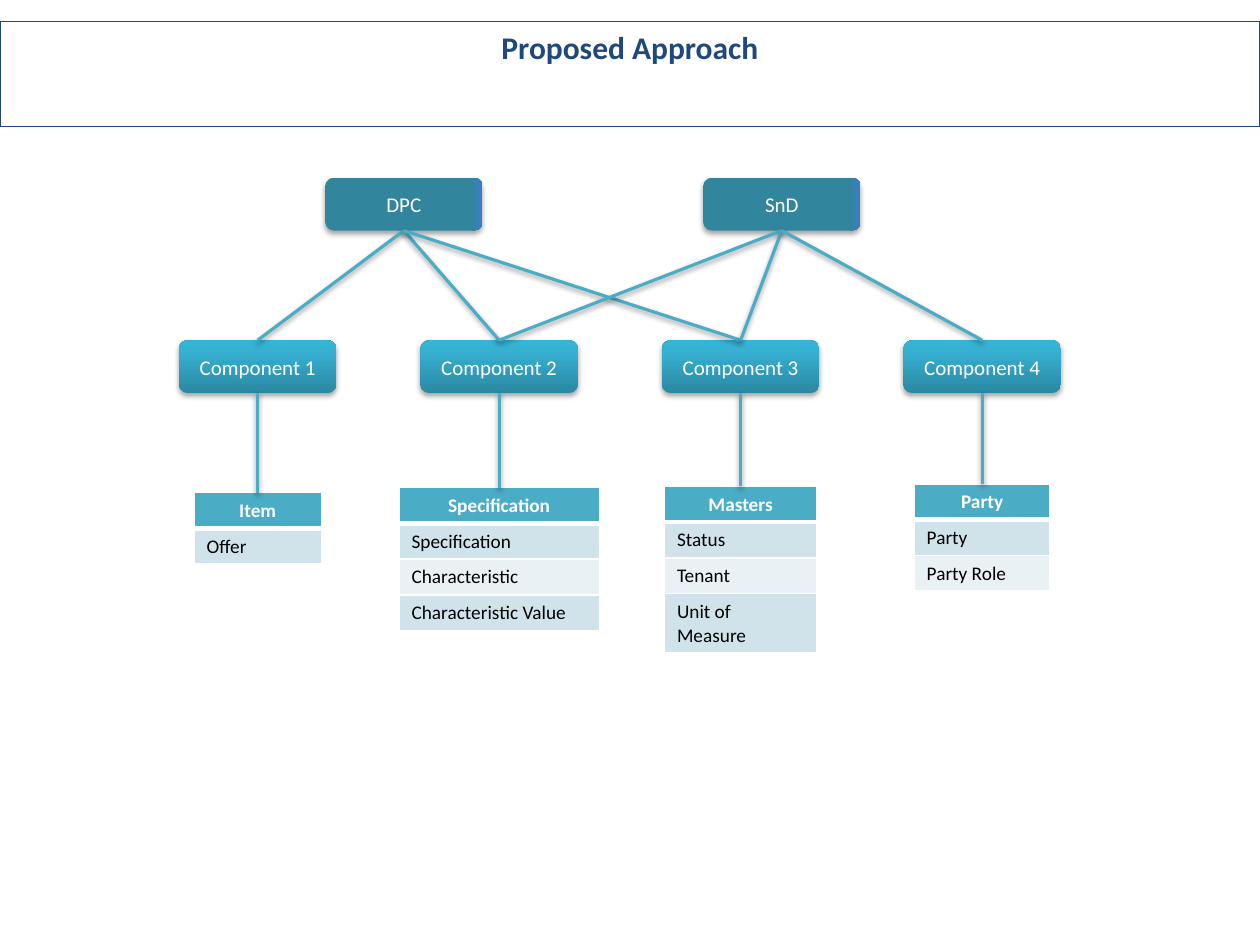
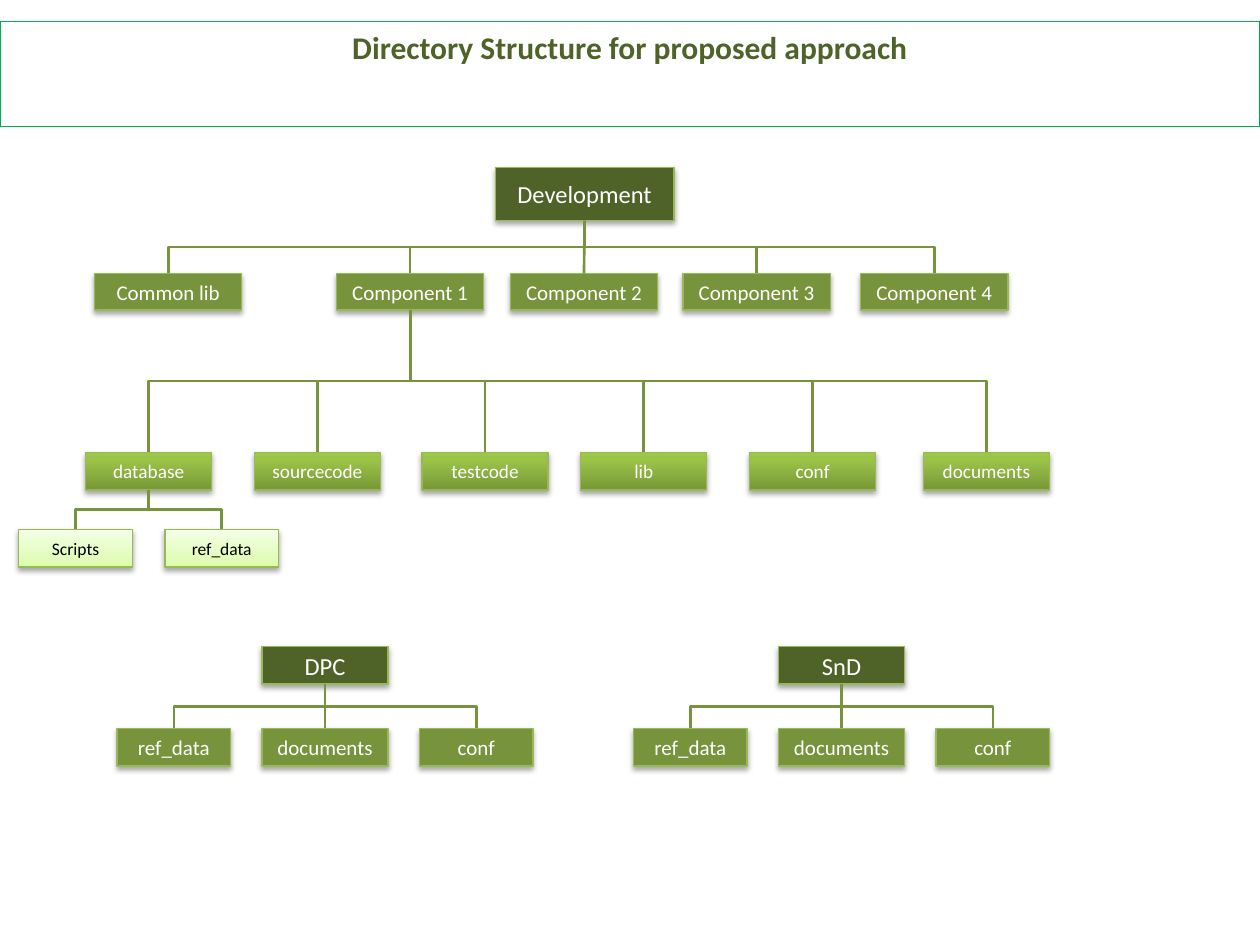
"""Build two slides on a component approach and its directory structure."""
import pptx
import pptx.util
import pptx.dml.color
import pptx.enum.shapes
import pptx.enum.text
import pptx.oxml
import pptx.oxml.ns
import lxml.etree

Inches, Pt = pptx.util.Inches, pptx.util.Pt
RGBColor = pptx.dml.color.RGBColor
SHAPE = pptx.enum.shapes.MSO_SHAPE
CONNECTOR = pptx.enum.shapes.MSO_CONNECTOR
CENTER = pptx.enum.text.PP_ALIGN.CENTER
ANCHOR = pptx.enum.text.MSO_ANCHOR
qn = pptx.oxml.ns.qn

WHITE = RGBColor(0xFF, 0xFF, 0xFF)
BLACK = RGBColor(0, 0, 0)
NAVY = RGBColor(0x1F, 0x49, 0x7D)
AQUA = RGBColor(0x4B, 0xAC, 0xC6)
BAND_DARK = RGBColor(0xD0, 0xE3, 0xEA)
BAND_LIGHT = RGBColor(0xE9, 0xF1, 0xF5)
TITLE_GREEN = RGBColor(0x00, 0xB0, 0x50)
DARK_GREEN = RGBColor(0x4F, 0x62, 0x28)
MID_GREEN = RGBColor(0x77, 0x93, 0x3C)
EDGE_GREEN = RGBColor(0x98, 0xB9, 0x55)

TEAL_GRADIENT = (0, [(93, RGBColor(0x31, 0x85, 0x9C)), (100, RGBColor(0x3D, 0x7C, 0xC7))])
AQUA_GRADIENT = (90, [(0, RGBColor(0x2A, 0x88, 0xA2)), (80, RGBColor(0x37, 0xB1, 0xD2)),
                      (100, RGBColor(0x34, 0xB4, 0xD6))])
GREEN_GRADIENT = (90, [(0, RGBColor(0x77, 0x97, 0x37)), (80, RGBColor(0x9B, 0xC3, 0x48)),
                       (100, RGBColor(0x9D, 0xC7, 0x46))])
PALE_GRADIENT = (90, [(0, RGBColor(0xDA, 0xFD, 0xA7)), (35, RGBColor(0xE4, 0xFC, 0xC2)),
                      (100, RGBColor(0xF5, 0xFF, 0xE7))])


class Deck:
    """Hold the shared style and the slide being drawn."""

    font = "Calibri"

    def __init__(self):
        self.presentation = pptx.Presentation()
        self.presentation.slide_width = Inches(10)
        self.presentation.slide_height = Inches(7.5)
        self.slide = None

    def add_slide(self, title, color, border):
        """Start a slide with its outlined title band."""
        layout = self.presentation.slide_layouts[5]
        self.slide = self.presentation.slides.add_slide(layout)
        band = self.slide.shapes.title
        band.left, band.top = Inches(0), Inches(0.17)
        band.width, band.height = Inches(10), Inches(0.4)
        band.line.color.rgb = border
        band.line.width = Pt(0.75)
        frame = band.text_frame
        frame.word_wrap = True
        frame.auto_size = pptx.enum.text.MSO_AUTO_SIZE.SHAPE_TO_FIT_TEXT
        frame.vertical_anchor = ANCHOR.TOP
        self.label(frame, title, 18, color, bold=True, align=CENTER)

    def label(self, frame, text, size, color, bold=False, align=None):
        """Put one formatted paragraph in a text frame."""
        frame.text = text
        paragraph = frame.paragraphs[0]
        paragraph.alignment = align
        paragraph.font.name = self.font
        paragraph.font.size = Pt(size)
        paragraph.font.bold = bold
        paragraph.font.color.rgb = color

    def add_shadow(self, properties, opacity, distance):
        """Add a soft shadow below an element."""
        effects = properties.find(qn("a:effectLst"))
        shadow = lxml.etree.SubElement(
            effects, qn("a:outerShdw"), blurRad=str(Pt(3.1)), dist=str(Pt(distance)),
            dir="5400000", rotWithShape="0")
        tint = lxml.etree.SubElement(shadow, qn("a:srgbClr"), val=str(BLACK))
        lxml.etree.SubElement(tint, qn("a:alpha"), val=str(opacity * 1000))

    def paint(self, shape, fill):
        """Fill a shape with a colour or an (angle, stops) gradient."""
        if isinstance(fill, RGBColor):
            shape.fill.solid()
            shape.fill.fore_color.rgb = fill
            return
        angle, stops = fill
        shape.fill.gradient()
        shape.fill.gradient_angle = angle
        stop_list = shape.element.spPr.find(".//" + qn("a:gsLst"))
        for stop in list(stop_list):
            stop_list.remove(stop)
        for position, color in stops:
            stop = lxml.etree.SubElement(stop_list, qn("a:gs"), pos=str(position * 1000))
            lxml.etree.SubElement(stop, qn("a:srgbClr"), val=str(color))

    def box(self, text, left, top, width, height, fill, size=12, color=WHITE,
            border=None, kind=SHAPE.RECTANGLE):
        """Draw a labelled box with a shadow."""
        shape = self.slide.shapes.add_shape(
            kind, Inches(left), Inches(top), Inches(width), Inches(height))
        self.paint(shape, fill)
        if border is None:
            shape.line.fill.background()
        else:
            shape.line.color.rgb = border
            shape.line.width = Pt(0.75)
        shape.shadow.inherit = False
        self.add_shadow(shape.element.spPr, 35, 1.8)
        shape.text_frame.vertical_anchor = ANCHOR.MIDDLE
        self.label(shape.text_frame, text, size, color, align=CENTER)
        return shape

    def link(self, parent, child, color, width, kind=CONNECTOR.STRAIGHT, shadow=False):
        """Join the bottom of one shape to the top of another."""
        start_x = parent.left + parent.width // 2
        start_y = parent.top + parent.height
        end_x = child.left + child.width // 2
        line = self.slide.shapes.add_connector(kind, start_x, start_y, end_x, child.top)
        line.line.color.rgb = color
        line.line.width = Pt(width)
        line.begin_connect(parent, 2)
        if not child.has_table:
            line.end_connect(child, 0)
        lxml.etree.SubElement(line.element.spPr, qn("a:effectLst"))
        if shadow:
            self.add_shadow(line.element.spPr, 38, 1.6)
        return line

    def elbow(self, parent, child):
        """Join two boxes by a line that goes down, across and down."""
        start_x = parent.left + parent.width // 2
        start_y = parent.top + parent.height
        across = child.left + child.width // 2 - start_x
        down = child.top - start_y
        if abs(across) < Inches(0.02):
            self.link(parent, child, MID_GREEN, 1.5)
            return
        line = self.link(parent, child, MID_GREEN, 1.5, CONNECTOR.ELBOW)
        line.width, line.height = down, abs(across)
        line.left = start_x + (across - down) // 2
        line.top = start_y + (down - abs(across)) // 2
        frame = line.element.spPr.find(qn("a:xfrm"))
        frame.set("rot", "16200000" if across > 0 else "5400000")
        frame.set("flipH", "1" if across > 0 else "0")

    def tree(self, parent, labels, lefts, top, width, height, fill, **style):
        """Draw a row of boxes joined to their parent and return them."""
        children = [self.box(label, left, top, width, height, fill, border=EDGE_GREEN, **style)
                    for label, left in zip(labels, lefts)]
        for child in children:
            self.elbow(parent, child)
        return children

    def entity_table(self, rows, center, top, width):
        """Draw a one-column table centred below its component."""
        row_height = Inches(0.28)
        holder = self.slide.shapes.add_table(
            len(rows), 1, center - Inches(width) // 2, Inches(top),
            Inches(width), row_height * len(rows))
        for index, text in enumerate(rows):
            holder.table.rows[index].height = row_height
            cell = holder.table.cell(index, 0)
            header = index == 0
            cell.fill.solid()
            cell.fill.fore_color.rgb = AQUA if header else (BAND_LIGHT, BAND_DARK)[index % 2]
            self.label(cell.text_frame, text, 11, WHITE if header else BLACK,
                       bold=header, align=CENTER if header else None)
            self.cell_borders(cell, top=3 if index == 1 else 1, bottom=3 if header else 1)
        return holder

    def cell_borders(self, cell, top, bottom):
        """Give a cell white borders."""
        properties = cell._tc.get_or_add_tcPr()
        for place, (side, width) in enumerate(
                [("a:lnL", 1), ("a:lnR", 1), ("a:lnT", top), ("a:lnB", bottom)]):
            edge = lxml.etree.Element(qn(side), w=str(Pt(width)))
            fill = lxml.etree.SubElement(edge, qn("a:solidFill"))
            lxml.etree.SubElement(fill, qn("a:srgbClr"), val=str(WHITE))
            properties.insert(place, edge)


def draw_approach(deck):
    """Draw the applications, their components and the entity tables."""
    deck.add_slide("Proposed Approach", NAVY, NAVY)
    size = (1.25, 0.42)
    dpc, snd = [deck.box(name, left, 1.41, *size, TEAL_GRADIENT, kind=SHAPE.ROUNDED_RECTANGLE)
                for name, left in [("DPC", 2.58), ("SnD", 5.58)]]
    components = [deck.box(f"Component {i + 1}", 1.42 + i * 5.75 / 3, 2.7, *size,
                           AQUA_GRADIENT, kind=SHAPE.ROUNDED_RECTANGLE)
                  for i in range(4)]
    for application, used in [(dpc, components[:3]), (snd, components[1:])]:
        for component in used:
            deck.link(application, component, AQUA, 1.8, shadow=True)
    entities = [
        (["Item", "Offer"], 3.91, 1.01),
        (["Specification", "Specification", "Characteristic", "Characteristic Value"], 3.87, 1.59),
        (["Masters", "Status", "Tenant", "Unit of Measure"], 3.86, 1.21),
        (["Party", "Party", "Party Role"], 3.84, 1.08),
    ]
    for component, (rows, top, width) in zip(components, entities):
        center = component.left + component.width // 2
        table = deck.entity_table(rows, center, top, width)
        deck.link(component, table, AQUA, 1.8, shadow=True)


def draw_directories(deck):
    """Draw the development tree and the two application trees."""
    deck.add_slide("Directory Structure for proposed approach", DARK_GREEN, TITLE_GREEN)
    development = deck.box("Development", 3.93, 1.33, 1.42, 0.42, DARK_GREEN, size=14,
                           border=EDGE_GREEN)
    modules = deck.tree(
        development,
        ["Common lib", "Component 1", "Component 2", "Component 3", "Component 4"],
        [0.75, 2.67, 4.05, 5.42, 6.83], 2.17, 1.17, 0.29, MID_GREEN)
    folders = deck.tree(
        modules[1], ["database", "sourcecode", "testcode", "lib", "conf", "documents"],
        [0.68, 2.02, 3.35, 4.61, 5.95, 7.33], 3.59, 1, 0.3, GREEN_GRADIENT, size=11)
    deck.tree(folders[0], ["Scripts", "ref_data"], [0.15, 1.31], 4.2, 0.9, 0.3,
              PALE_GRADIENT, size=10, color=BLACK)
    for name, left in [("DPC", 2.08), ("SnD", 6.18)]:
        application = deck.box(name, left, 5.13, 1, 0.3, DARK_GREEN, size=14, border=EDGE_GREEN)
        deck.tree(application, ["ref_data", "conf"], [left - 1.15, left + 1.25],
                  5.78, 0.9, 0.3, MID_GREEN)
        deck.tree(application, ["documents"], [left], 5.78, 1, 0.3, MID_GREEN)


deck = Deck()
draw_approach(deck)
draw_directories(deck)
deck.presentation.save("out.pptx")
